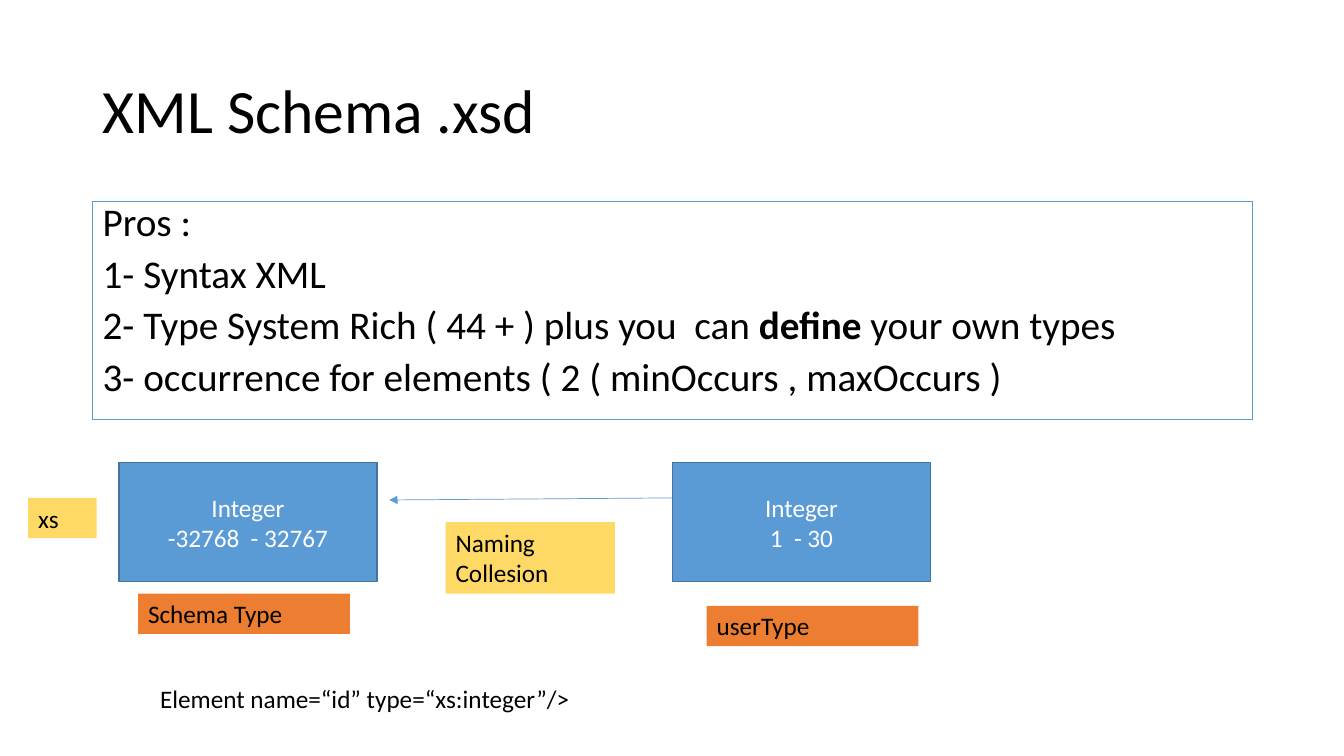
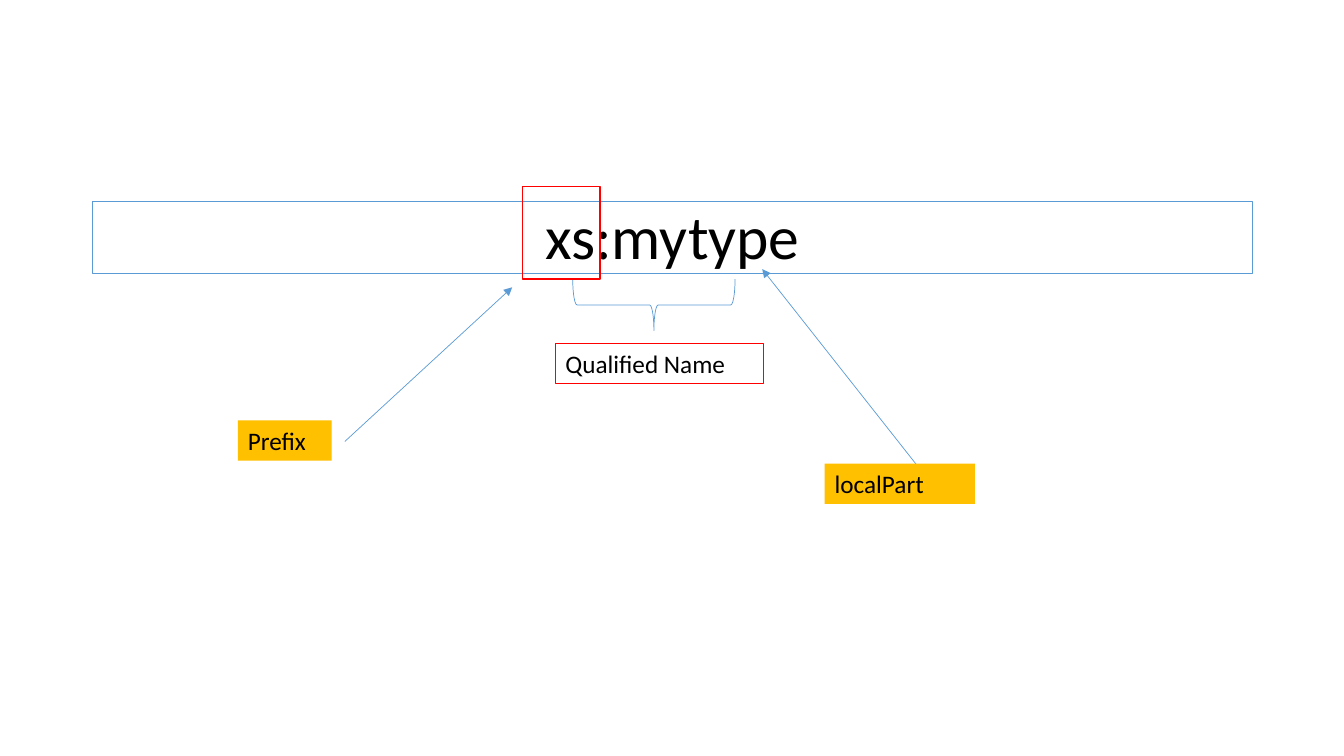
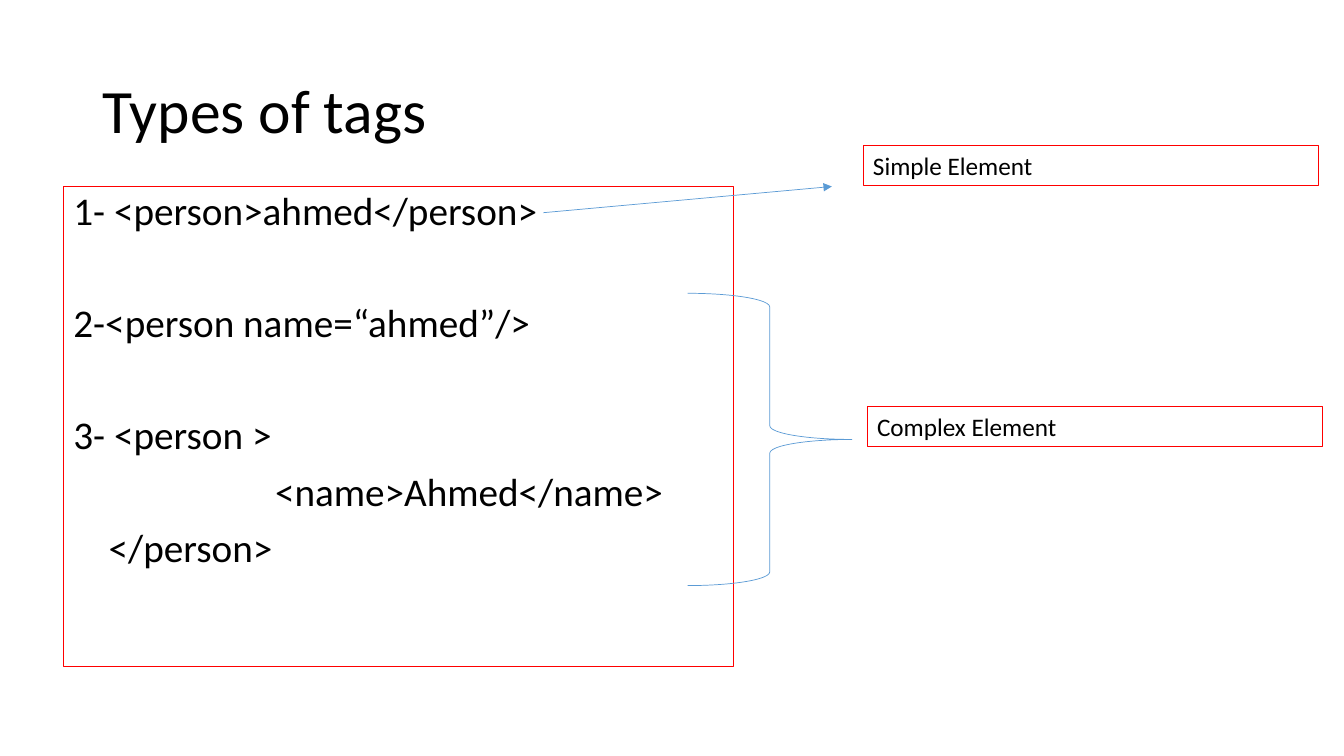
import pptx
import pptx.dml.color
import pptx.enum.shapes
import pptx.enum.text
import pptx.oxml
import pptx.oxml.ns
import pptx.util

Inches = pptx.util.Inches
Pt = pptx.util.Pt
SHAPE = pptx.enum.shapes.MSO_SHAPE
ALIGN = pptx.enum.text.PP_ALIGN
ANCHOR = pptx.enum.text.MSO_ANCHOR
FIT = pptx.enum.text.MSO_AUTO_SIZE

FONT = "Calibri"
BLACK, WHITE, RED = "000000", "FFFFFF", "FF0000"
BLUE, DARK_BLUE = "5B9BD5", "43739E"
ORANGE, YELLOW, GOLD = "ED7D31", "FFD966", "FFC000"


def rgb(value):
    """Turn a hex string into a colour."""
    return pptx.dml.color.RGBColor.from_string(value)


class Deck:
    """Hold the shared style and the slide being built."""

    def __init__(self):
        """Start an empty widescreen presentation."""
        self.prs = pptx.Presentation()
        self.prs.slide_width = Inches(13.33)
        self.prs.slide_height = Inches(7.5)
        self.s = None

    def slide(self, title=None):
        """Add a slide with an optional title."""
        self.s = self.prs.slides.add_slide(self.prs.slide_layouts[6])
        if title:
            sp = self.s.shapes.add_textbox(*map(Inches, (0.92, 0.4, 11.5, 1.45)))
            self.frame(sp, ANCHOR.MIDDLE)
            self.para(sp, title, size=44, leading=0.9)

    def frame(self, sp, anchor=ANCHOR.TOP):
        """Wrap and anchor the text of a shape."""
        tf = sp.text_frame
        tf.word_wrap = True
        tf.vertical_anchor = anchor

    def paint(self, sp, fill, line, width):
        """Set the fill and outline of a shape."""
        if fill:
            sp.fill.solid()
            sp.fill.fore_color.rgb = rgb(fill)
        else:
            sp.fill.background()
        if line:
            sp.line.color.rgb = rgb(line)
            sp.line.width = Pt(width)
        else:
            sp.line.fill.background()

    def para(self, sp, *runs, size=18, color=BLACK, align=ALIGN.LEFT,
             leading=1.0, before=0, indent=0, bold=None):
        """Add a paragraph, with the run equal to bold set in bold."""
        tf = sp.text_frame
        p = tf.paragraphs[0] if not tf.text else tf.add_paragraph()
        p.alignment = align
        p.line_spacing = leading
        p.space_before = Pt(before)
        if indent:
            p._p.get_or_add_pPr().set("marL", str(Inches(indent)))
        for text in runs:
            r = p.add_run()
            r.text = text
            r.font.name = FONT
            r.font.size = Pt(size)
            r.font.bold = text == bold
            r.font.color.rgb = rgb(color)

    def shape(self, *at, kind=SHAPE.RECTANGLE, fill=None, line=BLUE,
              width=0.75, anchor=ANCHOR.TOP):
        """Add a preset shape."""
        sp = self.s.shapes.add_shape(kind, *map(Inches, at))
        sp.shadow.inherit = False
        self.paint(sp, fill, line, width)
        self.frame(sp, anchor)
        return sp

    def type_box(self, left, *lines):
        """Add a blue box with centred white lines."""
        sp = self.shape(left, 4.59, 2.56, 1.18, fill=BLUE, line=DARK_BLUE,
                        width=1, anchor=ANCHOR.MIDDLE)
        for text in lines:
            self.para(sp, text, color=WHITE, align=ALIGN.CENTER)

    def label(self, text, left, top, width, height=0.4, fill=None, line=None):
        """Add a text label that fits its text."""
        sp = self.s.shapes.add_textbox(*map(Inches, (left, top, width, height)))
        self.paint(sp, fill, line, 0.75)
        self.frame(sp)
        sp.text_frame.auto_size = FIT.SHAPE_TO_FIT_TEXT
        self.para(sp, text)

    def brace(self, *at, rotation=0):
        """Add a thin right brace."""
        sp = self.shape(*at, kind=SHAPE.RIGHT_BRACE, width=0.5)
        sp.rotation = rotation

    def arrow(self, *ends):
        """Add a thin arrow from the first point to the second."""
        sp = self.s.shapes.add_connector(
            pptx.enum.shapes.MSO_CONNECTOR.STRAIGHT, *map(Inches, ends))
        sp.line.color.rgb = rgb(BLUE)
        sp.line.width = Pt(0.5)
        ln = sp.line._get_or_add_ln()
        ns = pptx.oxml.ns.nsdecls("a")
        ln.append(pptx.oxml.parse_xml(f'<a:tailEnd {ns} type="triangle"/>'))
        ln.getparent().append(pptx.oxml.parse_xml(f"<a:effectLst {ns}/>"))


def schema_slide(deck):
    """Build the slide on schema advantages and name collision."""
    deck.slide("XML Schema .xsd")
    sp = deck.shape(0.92, 2, 11.5, 2.16)
    for runs in (
        ["Pros :"],
        ["1- Syntax XML"],
        ["2- Type System Rich ( 44 + ) plus you  can ", "define", " your own types"],
        ["3- occurrence for elements ( 2 ( minOccurs , maxOccurs )"],
    ):
        deck.para(sp, *runs, size=28, leading=0.8, before=10, bold="define")
    deck.type_box(1.18, "Integer", "-32768  - 32767")
    deck.type_box(6.67, "Integer", "1  - 30")
    deck.arrow(6.67, 4.94, 3.86, 4.96)
    deck.label("Schema Type", 1.37, 5.89, 2.1, fill=ORANGE)
    deck.label("userType", 7.01, 6.01, 2.1, fill=ORANGE)
    deck.label("Element name=“id” type=“xs:integer”/>", 1.49, 6.73, 4.93)
    deck.label("Naming Collesion", 4.42, 5.18, 1.68, 0.71, fill=YELLOW)
    deck.label("xs", 0.28, 4.94, 0.68, fill=YELLOW)


def name_slide(deck):
    """Build the slide on the parts of a qualified name."""
    deck.slide()
    sp = deck.shape(0.92, 2, 11.5, 0.71)
    deck.para(sp, "xs:mytype", size=44, align=ALIGN.CENTER, leading=0.9, before=10)
    deck.label("Qualified Name", 5.51, 3.41, 2.06, line=RED)
    deck.brace(6.23, 2.22, 0.51, 1.61, rotation=90)
    deck.shape(5.18, 1.85, 0.77, 0.92, line=RED, width=1)
    deck.arrow(3.42, 4.38, 5.08, 2.85)
    deck.label("Prefix", 2.36, 4.17, 0.93, fill=GOLD)
    deck.arrow(9.24, 4.8, 7.56, 2.67)
    deck.label("localPart", 8.18, 4.6, 1.49, fill=GOLD)


def tags_slide(deck):
    """Build the slide on simple and complex elements."""
    deck.slide("Types of tags")
    sp = deck.shape(0.63, 1.85, 6.65, 4.76, line=RED)
    for text, before, indent in (
        ("1- <person>ahmed</person>", 10, 0),
        ("2-<person name=“ahmed”/>", 50, 0),
        ("3- <person >", 50, 0),
        ("<name>Ahmed</name>", 10, 2),
        ("</person>", 10, 0.35),
    ):
        deck.para(sp, text, size=28, leading=0.9, before=before, indent=indent)
    deck.arrow(5.39, 2.11, 8.25, 1.85)
    deck.label("Simple Element", 8.56, 1.44, 4.52, line=RED)
    deck.brace(6.82, 2.91, 1.63, 2.9)
    deck.label("Complex Element", 8.6, 4.03, 4.52, line=RED)


def main():
    """Build and save the presentation."""
    deck = Deck()
    schema_slide(deck)
    name_slide(deck)
    tags_slide(deck)
    deck.prs.save("out.pptx")


if __name__ == "__main__":
    main()
